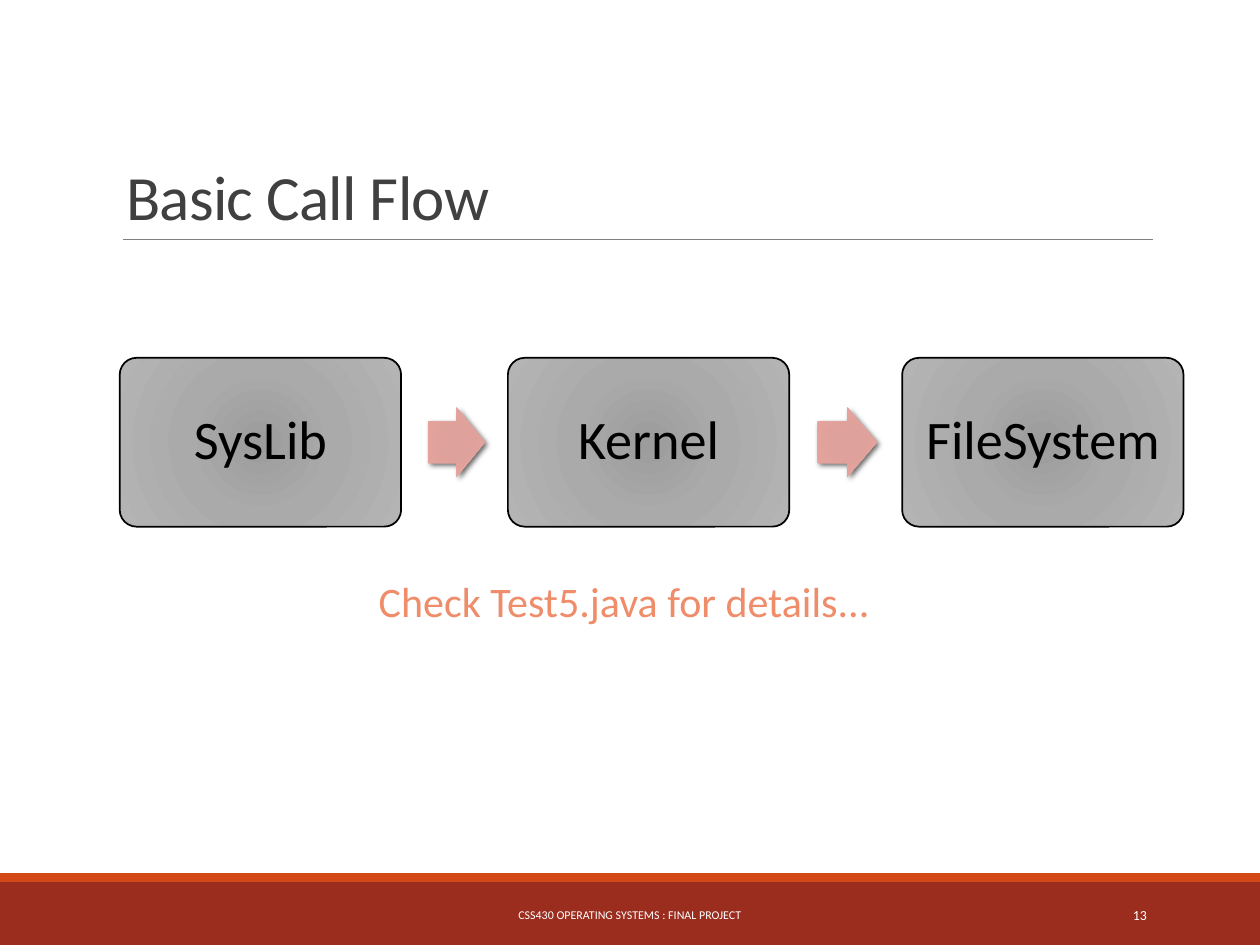
from dataclasses import dataclass

from lxml import etree
from pptx import Presentation
from pptx.dml.color import RGBColor
from pptx.enum.shapes import MSO_CONNECTOR, MSO_SHAPE
from pptx.enum.text import MSO_ANCHOR, MSO_AUTO_SIZE, PP_ALIGN
from pptx.oxml.ns import qn
from pptx.shapes.autoshape import Shape
from pptx.slide import Slide
from pptx.text.text import TextFrame
from pptx.util import Pt

RECTANGLE = MSO_SHAPE.RECTANGLE
ROUNDED = MSO_SHAPE.ROUNDED_RECTANGLE
ARROW = MSO_SHAPE.RIGHT_ARROW
STRAIGHT = MSO_CONNECTOR.STRAIGHT
LEFT, CENTER, RIGHT = PP_ALIGN.LEFT, PP_ALIGN.CENTER, PP_ALIGN.RIGHT
TOP, MIDDLE, BOTTOM = MSO_ANCHOR.TOP, MSO_ANCHOR.MIDDLE, MSO_ANCHOR.BOTTOM

FONT = "Calibri"
COLORS = {
    "footer": "9B2D1F",
    "stripe": "D34817",
    "rule": "808080",
    "title": "404040",
    "outline": "000000",
    "footer_text": "FFFFFF",
    "hint": "EF8C6A",
}
STEP_GRADIENT = {0: "9C9C9C", 45: "AAAAAA", 100: "B4B4B4"}
ARROW_GRADIENT = {0: "DE9E98", 34: "DFA19B", 70: "E4A29C", 100: "E9AFA9"}


@dataclass(frozen=True)
class Area:
    left: float
    top: float
    width: float
    height: float

    def lengths(self) -> tuple[Pt, Pt, Pt, Pt]:
        return Pt(self.left), Pt(self.top), Pt(self.width), Pt(self.height)


@dataclass(frozen=True)
class Step:
    label: str
    left: float


@dataclass(frozen=True)
class Flow:
    left: float
    width: float


@dataclass(frozen=True)
class Caption:
    text: str
    area: Area
    size: float
    color: str
    align: PP_ALIGN = CENTER
    anchor: MSO_ANCHOR = MIDDLE


STEPS = [Step("SysLib", 68.4), Step("Kernel", 290.2), Step("FileSystem", 515.5)]
FLOWS = [Flow(244.6, 32.6), Flow(467.2, 34)]
CAPTIONS = [
    Caption("CSS430 OPERATING SYSTEMS : FINAL PROJECT",
            Area(217.4, 508.3, 285.1, 28.8), 6.8, "footer_text"),
    Caption("13", Area(584.6, 508.3, 77.8, 28.8), 7.9, "footer_text", RIGHT),
    Caption("Check Test5.java for details...",
            Area(167, 325.4, 379.4, 36), 24, "hint", CENTER, TOP),
]


def rgb(name: str) -> RGBColor:
    return RGBColor.from_string(COLORS[name])


def write(frame: TextFrame, text: str, size: float, color: str,
          align: PP_ALIGN, anchor: MSO_ANCHOR) -> None:
    frame.text = text
    frame.word_wrap = True
    frame.vertical_anchor = anchor
    paragraph = frame.paragraphs[0]
    paragraph.alignment = align
    paragraph.font.name = FONT
    paragraph.font.size = Pt(size)
    paragraph.font.color.rgb = rgb(color)


def add_plain_shape(slide: Slide, kind: MSO_SHAPE, area: Area) -> Shape:
    shape = slide.shapes.add_shape(kind, *area.lengths())
    shape.shadow.inherit = False
    shape.line.fill.background()
    return shape


def add_band(slide: Slide, area: Area, color: str) -> None:
    band = add_plain_shape(slide, RECTANGLE, area)
    band.fill.solid()
    band.fill.fore_color.rgb = rgb(color)


def fill_radial(shape: Shape, stops: dict[int, str]) -> None:
    shape.fill.background()
    no_fill = shape.element.spPr.find(qn("a:noFill"))
    gradient = etree.Element(qn("a:gradFill"), rotWithShape="1")
    stop_list = etree.SubElement(gradient, qn("a:gsLst"))
    for position, color in stops.items():
        stop = etree.SubElement(stop_list, qn("a:gs"), pos=str(position * 1000))
        etree.SubElement(stop, qn("a:srgbClr"), val=color)
    circle = etree.SubElement(gradient, qn("a:path"), path="circle")
    etree.SubElement(circle, qn("a:fillToRect"), dict.fromkeys("ltrb", "100000"))
    shape.element.spPr.replace(no_fill, gradient)


def add_shadow(shape: Shape) -> None:
    effects = shape.element.spPr.find(qn("a:effectLst"))
    shadow = etree.SubElement(effects, qn("a:outerShdw"), blurRad=str(Pt(3)),
                              dist=str(Pt(2)), dir="2700000", rotWithShape="0")
    color = etree.SubElement(shadow, qn("a:srgbClr"), val=COLORS["outline"])
    etree.SubElement(color, qn("a:alpha"), val="60000")


def add_step(slide: Slide, step: Step) -> None:
    box = add_plain_shape(slide, ROUNDED, Area(step.left, 204.5, 160.8, 96.5))
    box.adjustments[0] = 0.1
    fill_radial(box, STEP_GRADIENT)
    box.line.color.rgb = rgb("outline")
    box.line.width = Pt(1)
    frame = box.text_frame
    frame.margin_left = frame.margin_right = Pt(9)
    write(frame, step.label, 31, "outline", CENTER, MIDDLE)
    frame.paragraphs[0].line_spacing = 0.9


def add_flow(slide: Slide, flow: Flow) -> None:
    arrow = add_plain_shape(slide, ARROW, Area(flow.left, 232.8, flow.width, 39.8))
    arrow.adjustments[0] = 0.6
    arrow.adjustments[1] = 0.5
    fill_radial(arrow, ARROW_GRADIENT)
    add_shadow(arrow)


def add_caption(slide: Slide, caption: Caption) -> None:
    box = slide.shapes.add_textbox(*caption.area.lengths())
    write(box.text_frame, caption.text, caption.size, caption.color,
          caption.align, caption.anchor)


def add_title(slide: Slide) -> None:
    title = slide.shapes.title
    title.left, title.top, title.width, title.height = Area(64.8, 22.3, 594, 114.5).lengths()
    write(title.text_frame, "Basic Call Flow", 36, "title", LEFT, BOTTOM)
    title.text_frame.auto_size = MSO_AUTO_SIZE.NONE
    paragraph = title.text_frame.paragraphs[0]
    paragraph.line_spacing = 0.85
    paragraph.runs[0].font._element.set("spc", "-40")


def add_rule(slide: Slide) -> None:
    rule = slide.shapes.add_connector(STRAIGHT, Pt(70.4), Pt(136.8), Pt(658.8), Pt(136.8))
    rule.line.color.rgb = rgb("rule")
    rule.line.width = Pt(0.5)
    etree.SubElement(rule.element.spPr, qn("a:effectLst"))


def main() -> None:
    deck = Presentation()
    deck.slide_width, deck.slide_height = Pt(720), Pt(540)
    slide = deck.slides.add_slide(deck.slide_layouts[5])
    add_band(slide, Area(0, 504, 720, 36), "footer")
    add_band(slide, Area(0, 499, 720, 5), "stripe")
    add_rule(slide)
    add_title(slide)
    for step in STEPS:
        add_step(slide, step)
    for flow in FLOWS:
        add_flow(slide, flow)
    for caption in CAPTIONS:
        add_caption(slide, caption)
    deck.save("out.pptx")


if __name__ == "__main__":
    main()
